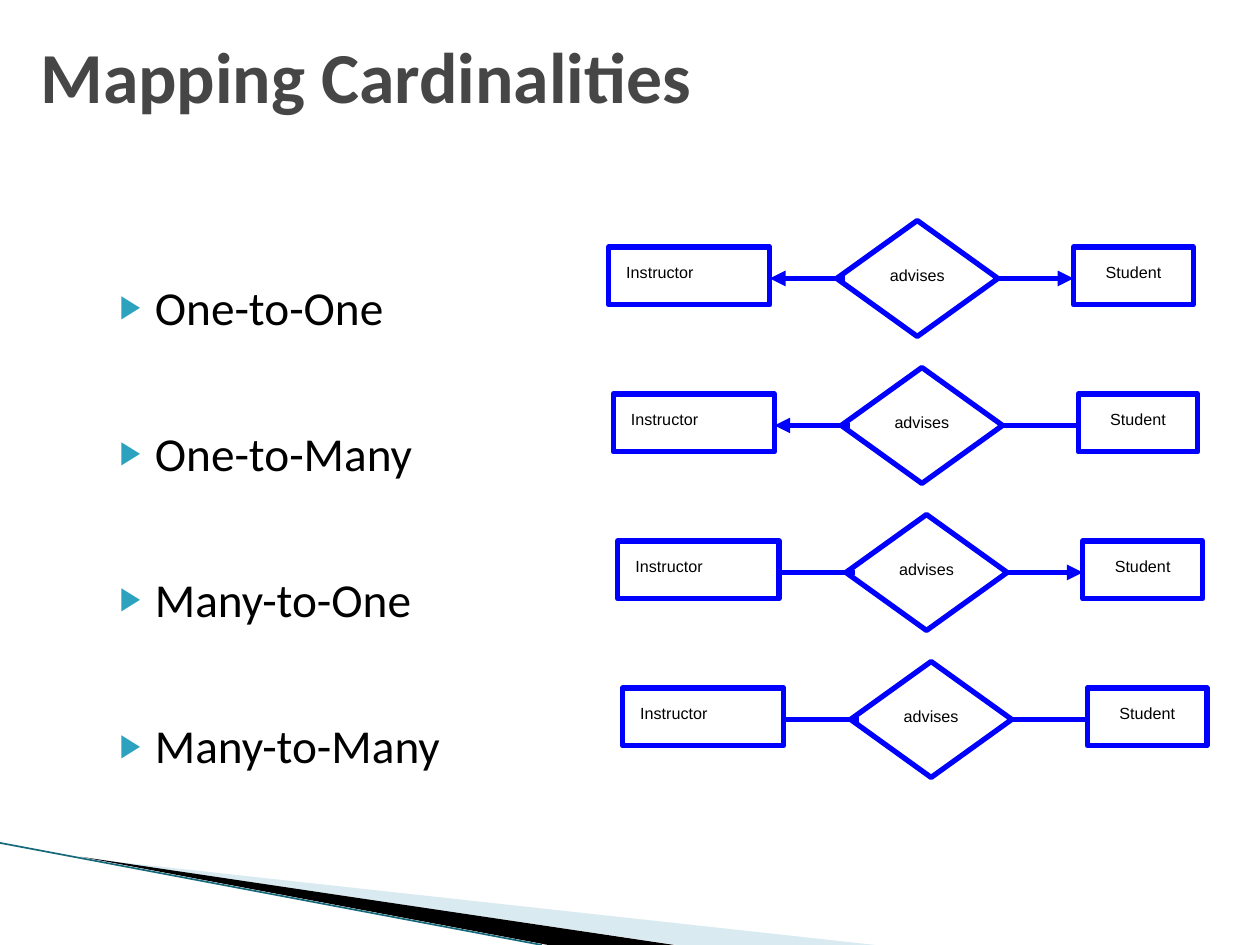
from dataclasses import dataclass

from lxml import etree
from pptx import Presentation
from pptx import util as u
from pptx.dml.color import RGBColor
from pptx.enum import shapes, text
from pptx.oxml.ns import qn


@dataclass(frozen=True)
class Theme:
    heading_font: str = "Calibri"
    diagram_font: str = "Arial"
    title_size: float = 41
    list_size: float = 27
    label_size: float = 9.2
    title: str = "464646"
    ink: str = "000000"
    bullet: str = "2DA2BF"
    diagram: str = "0000FF"
    pale: str = "A0CBDC"
    edge: str = "16697A"


class SlideBuilder:
    """Holds the theme and the slide that is being filled."""

    def __init__(self, slide, theme):
        self.slide = slide
        self.theme = theme

    def run(self, paragraph, words, font, size, color, bold=False):
        run = paragraph.add_run()
        run.text = words
        run.font.name = font
        run.font.size = u.Pt(size)
        run.font.bold = bold
        run.font.color.rgb = RGBColor.from_string(color)

    def place(self, holder, left, top, width, height):
        holder.left, holder.top = u.Inches(left), u.Inches(top)
        holder.width, holder.height = u.Inches(width), u.Inches(height)
        frame = holder.text_frame
        frame.auto_size = text.MSO_AUTO_SIZE.NONE
        return frame

    def title(self, words, *box):
        frame = self.place(self.slide.shapes.title, *box)
        frame.vertical_anchor = text.MSO_ANCHOR.MIDDLE
        frame.margin_left, frame.margin_bottom = u.Inches(0.07), 0
        heading = frame.paragraphs[0]
        heading.alignment = text.PP_ALIGN.LEFT
        self.run(heading, words, self.theme.heading_font,
                 self.theme.title_size, self.theme.title, bold=True)

    def bullets(self, items, *box):
        frame = self.place(self.slide.placeholders[1], *box)
        frame.margin_left = u.Inches(0.08)
        for index, item in enumerate(items):
            entry = frame.add_paragraph() if index else frame.paragraphs[0]
            entry.line_spacing = 2.5
            entry.space_before = u.Pt(2.5)
            props = entry._p.get_or_add_pPr()
            props.set("marL", str(u.Inches(0.4)))
            props.set("indent", str(u.Inches(-0.28)))
            color = etree.SubElement(props, qn("a:buClr"))
            etree.SubElement(color, qn("a:srgbClr"), val=self.theme.bullet)
            etree.SubElement(props, qn("a:buSzPct"), val="68000")
            etree.SubElement(props, qn("a:buChar"), char="▶")
            self.run(entry, item, self.theme.heading_font,
                     self.theme.list_size, self.theme.ink)

    def wedge(self, points, color, opacity=100):
        corners = [(u.Inches(x), u.Inches(y)) for x, y in points]
        builder = self.slide.shapes.build_freeform(*corners[0])
        builder.add_line_segments(corners[1:], close=True)
        band = builder.convert_to_shape()
        band.shadow.inherit = False
        band.line.fill.background()
        band.fill.solid()
        band.fill.fore_color.rgb = RGBColor.from_string(color)
        if opacity < 100:
            rgb = band._element.spPr.find(".//" + qn("a:srgbClr"))
            etree.SubElement(rgb, qn("a:alpha"), val=str(opacity * 1000))

    def node(self, preset, words, left, top, width, height, indent=None):
        """Outlined shape with a label; an indent makes the label left-aligned."""
        node = self.slide.shapes.add_shape(
            preset, u.Inches(left), u.Inches(top), u.Inches(width), u.Inches(height))
        node.shadow.inherit = False
        node.fill.background()
        node.line.color.rgb = RGBColor.from_string(self.theme.diagram)
        node.line.width = u.Pt(3)
        frame = node.text_frame
        frame.word_wrap = False
        frame.vertical_anchor = text.MSO_ANCHOR.MIDDLE
        frame.margin_left = u.Inches(indent or 0)
        frame.margin_right = frame.margin_top = 0
        frame.margin_bottom = u.Inches(0.06)
        label = frame.paragraphs[0]
        label.alignment = text.PP_ALIGN.LEFT if indent else text.PP_ALIGN.CENTER
        self.run(label, words, self.theme.diagram_font,
                 self.theme.label_size, self.theme.ink)
        return node

    def link(self, start, end, color, width, arrow=None):
        """Straight line; arrow is None, "headEnd" (start) or "tailEnd" (end)."""
        link = self.slide.shapes.add_connector(
            shapes.MSO_CONNECTOR.STRAIGHT,
            *(u.Inches(value) for value in (*start, *end)))
        link.line.color.rgb = RGBColor.from_string(color)
        link.line.width = u.Pt(width)
        if arrow:
            etree.SubElement(link.line._get_or_add_ln(), qn("a:" + arrow),
                             type="triangle")
        etree.SubElement(link._element.spPr, qn("a:effectLst"))
        return link

    def relationship(self, left, top, one_left, one_right):
        """Instructor - advises - Student; an arrow marks each "one" side."""
        preset, color = shapes.MSO_SHAPE, self.theme.diagram
        axis = top + 0.46
        self.node(preset.RECTANGLE, "Instructor", left, top + 0.21, 1.28, 0.46,
                  indent=0.14)
        advises = self.node(preset.DIAMOND, "advises", left + 1.81, top, 1.28, 0.92)
        self.link((left + 1.28, axis), (left + 1.88, axis), color, 3,
                  "headEnd" if one_left else None)
        to_student = self.link((left + 3.09, axis), (left + 3.69, axis), color, 3,
                               "tailEnd" if one_right else None)
        to_student.begin_connect(advises, 3)
        self.node(preset.RECTANGLE, "Student", left + 3.69, top + 0.21, 0.95, 0.46)


def main():
    deck = Presentation()
    deck.slide_width, deck.slide_height = u.Inches(10), u.Inches(7.5)
    theme = Theme()
    page = SlideBuilder(deck.slides.add_slide(deck.slide_layouts[1]), theme)

    # Corner decoration
    page.wedge([(0.65, 6.81), (6.95, 7.5), (5.38, 7.5)], theme.pale, opacity=40)
    page.wedge([(0.64, 6.8), (5.35, 7.5), (4.35, 7.5)], theme.ink)
    page.link((0, 6.69), (4.3, 7.5), theme.edge, 0.95)

    # Title and list of cardinalities, with whether each side is "one"
    cardinalities = {
        "One-to-One": (True, True),
        "One-to-Many": (True, False),
        "Many-to-One": (False, True),
        "Many-to-Many": (False, False),
    }
    page.title("Mapping Cardinalities", 0.25, 0.17, 9.25, 0.8)
    page.bullets(cardinalities, 0.75, 1.48, 8.5, 3.75)

    # One diagram per cardinality, each a little further right
    for row, sides in enumerate(cardinalities.values()):
        page.relationship(4.83 + row * 0.11 / 3, 1.75 + row * 3.5 / 3, *sides)

    deck.save("out.pptx")


if __name__ == "__main__":
    main()
